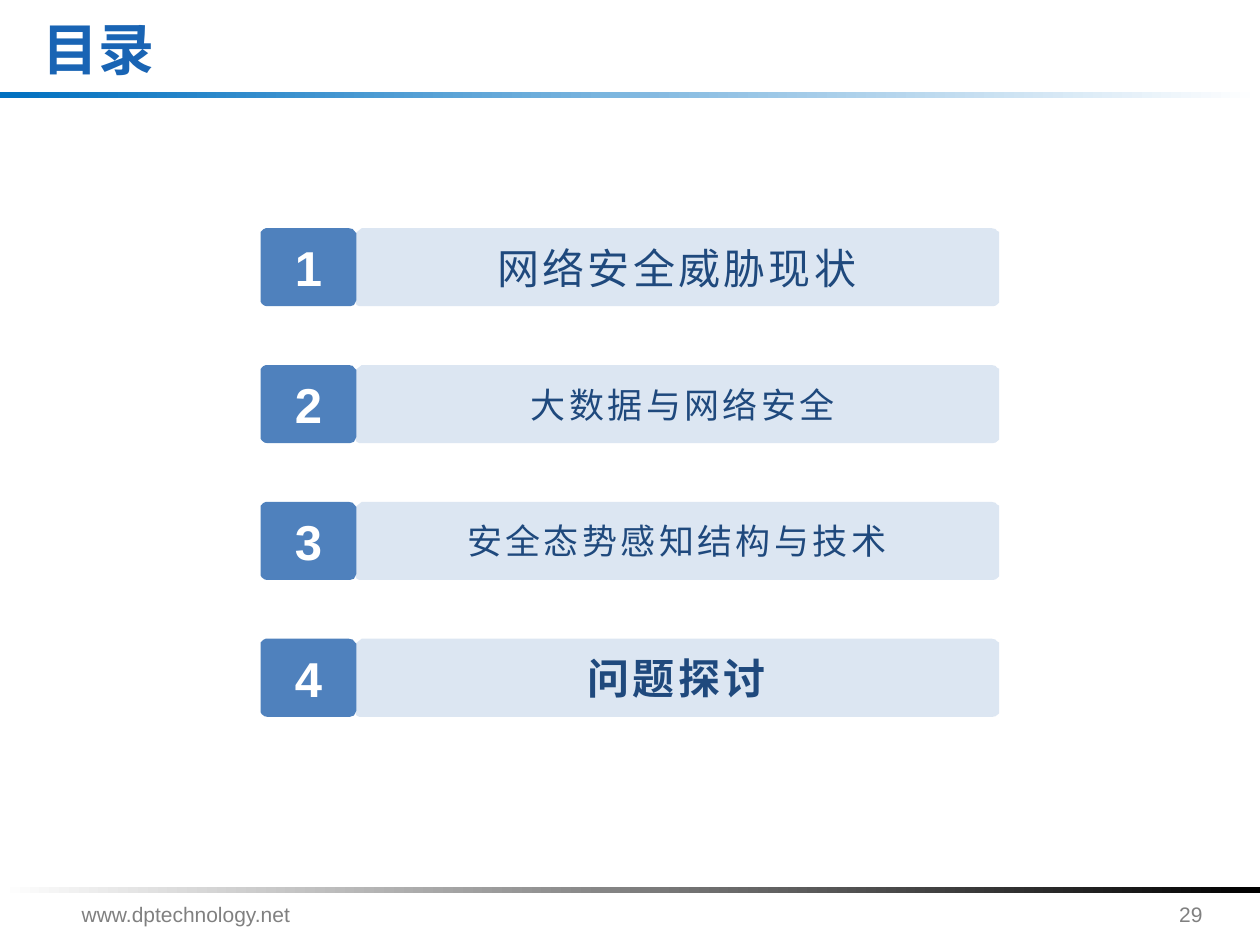
from lxml import etree
from pptx import Presentation
from pptx.dml.color import RGBColor
from pptx.enum.shapes import MSO_SHAPE
from pptx.enum.text import MSO_ANCHOR, PP_ALIGN
from pptx.oxml.ns import qn
from pptx.util import Pt

RECT = MSO_SHAPE.RECTANGLE
TOP, MIDDLE = MSO_ANCHOR.TOP, MSO_ANCHOR.MIDDLE
LEFT, CENTER = PP_ALIGN.LEFT, PP_ALIGN.CENTER

LATIN, CJK = "Arial", "Noto Sans CJK SC"
COLORS = {
    "title": "1964B4",
    "rule": "0070C0",
    "black": "000000",
    "white": "FFFFFF",
    "footer": "808080",
    "bar": "DCE6F2",
    "badge": "4F81BD",
    "topic": "1F497D",
}

# Agenda grid
BADGE_X, BAR_X = 149, 202.4
FIRST_Y, PITCH = 130.4, 78.2

# Outlines with softened corners, relative to their own top left
BAR_OUTLINE = [
    (364.3, 0), (4.3, 0), (0.7, 2.9), (0, 4.3), (0.7, 41), (0.7, 42.5),
    (1.4, 43.9), (2.9, 44.6), (4.3, 44.6), (365, 44.6), (366.5, 44.3),
    (367.9, 43.2), (368.6, 42.5), (368.6, 41), (368.6, 3.6), (368.6, 2.2),
    (367.2, 1.4), (366.5, 0.5),
]
BADGE_OUTLINE = [
    (50.4, 0), (2.9, 0), (1.4, 0.7), (0, 2.2), (0, 3.6), (0, 42.1),
    (0.7, 43.2), (2.2, 44.3), (3.6, 44.6), (51.1, 44.6), (53.3, 43.9),
    (54, 42.5), (54.7, 41), (54.7, 2.9), (53.3, 1.4), (52.6, 0.5),
]

# Topic, size, bold, left inset
TOPICS = [
    ("网络安全威胁现状", 24, False, 0),
    ("大数据与网络安全", 20, False, 7),
    ("安全态势感知结构与技术", 20, False, 0),
    ("问题探讨", 24, True, 0),
]


def rgb(name):
    return RGBColor.from_string(COLORS[name])


def set_text(sp, text, size, font, color, bold=False, align=LEFT,
             anchor=TOP, spacing=None):
    tf = sp.text_frame
    tf.text = text
    tf.word_wrap = True
    tf.vertical_anchor = anchor
    p = tf.paragraphs[0]
    p.alignment = align
    r = p.runs[0]
    r.font.size = Pt(size)
    r.font.bold = bold
    r.font.name = font
    r.font.color.rgb = rgb(color)
    r_pr = r.font._element
    etree.SubElement(r_pr, qn("a:ea")).set("typeface", font)
    if spacing:
        r_pr.set("spc", str(round(spacing * 100)))


def add_label(slide, x, y, w, h, text, size, font, color, **style):
    sp = slide.shapes.add_textbox(Pt(x), Pt(y), Pt(w), Pt(h))
    set_text(sp, text, size, font, color, **style)


def add_rule(slide, y, color, rotation=0):
    """Full-width band that fades from a colour to white."""
    sp = slide.shapes.add_shape(RECT, 0, Pt(y), Pt(720), Pt(3.6))
    sp.rotation = rotation
    sp.shadow.inherit = False
    sp.line.fill.background()
    sp.fill.gradient()
    sp.fill.gradient_angle = 0
    for stop, name in zip(sp.fill.gradient_stops, (color, "white")):
        stop.color.rgb = rgb(name)
    first, last = sp.fill.gradient_stops
    first.position, last.position = 0, 1


def add_panel(slide, x, y, outline, fill, inset=0):
    points = [(Pt(px), Pt(py)) for px, py in outline]
    builder = slide.shapes.build_freeform(*points[0])
    builder.add_line_segments(points[1:], close=True)
    sp = builder.convert_to_shape(Pt(x), Pt(y))
    sp.shadow.inherit = False
    sp.fill.solid()
    sp.fill.fore_color.rgb = rgb(fill)
    sp.line.fill.background()
    tf = sp.text_frame
    tf.margin_left = Pt(inset)
    tf.margin_top = tf.margin_right = tf.margin_bottom = 0
    return sp


def add_topic(slide, index, text, size, bold, inset):
    y = FIRST_Y + index * PITCH
    bar = add_panel(slide, BAR_X, y, BAR_OUTLINE, "bar", inset)
    set_text(bar, text, size, CJK, "topic", bold=bold, align=CENTER,
             anchor=MIDDLE, spacing=1.9)
    badge = add_panel(slide, BADGE_X, y, BADGE_OUTLINE, "badge")
    set_text(badge, str(index + 1), 28, LATIN, "white", bold=True,
             align=CENTER, anchor=MIDDLE)


def main():
    prs = Presentation()
    prs.slide_width, prs.slide_height = Pt(720), Pt(540)
    slide = prs.slides.add_slide(prs.slide_layouts[6])

    # Header and footer
    add_rule(slide, 52.6, "rule")
    add_rule(slide, 506.9, "black", rotation=180)
    add_label(slide, 666.7, 511.9, 42.5, 28, "29", 12, LATIN, "footer")
    add_label(slide, 39.6, 511.9, 140.4, 28, "www.dptechnology.net", 12,
              LATIN, "footer")
    add_label(slide, 17.3, 11.5, 416, 31.7, "目录", 32, CJK, "title",
              bold=True, anchor=MIDDLE)

    # Agenda
    for index, topic in enumerate(TOPICS):
        add_topic(slide, index, *topic)

    prs.save("out.pptx")


if __name__ == "__main__":
    main()
